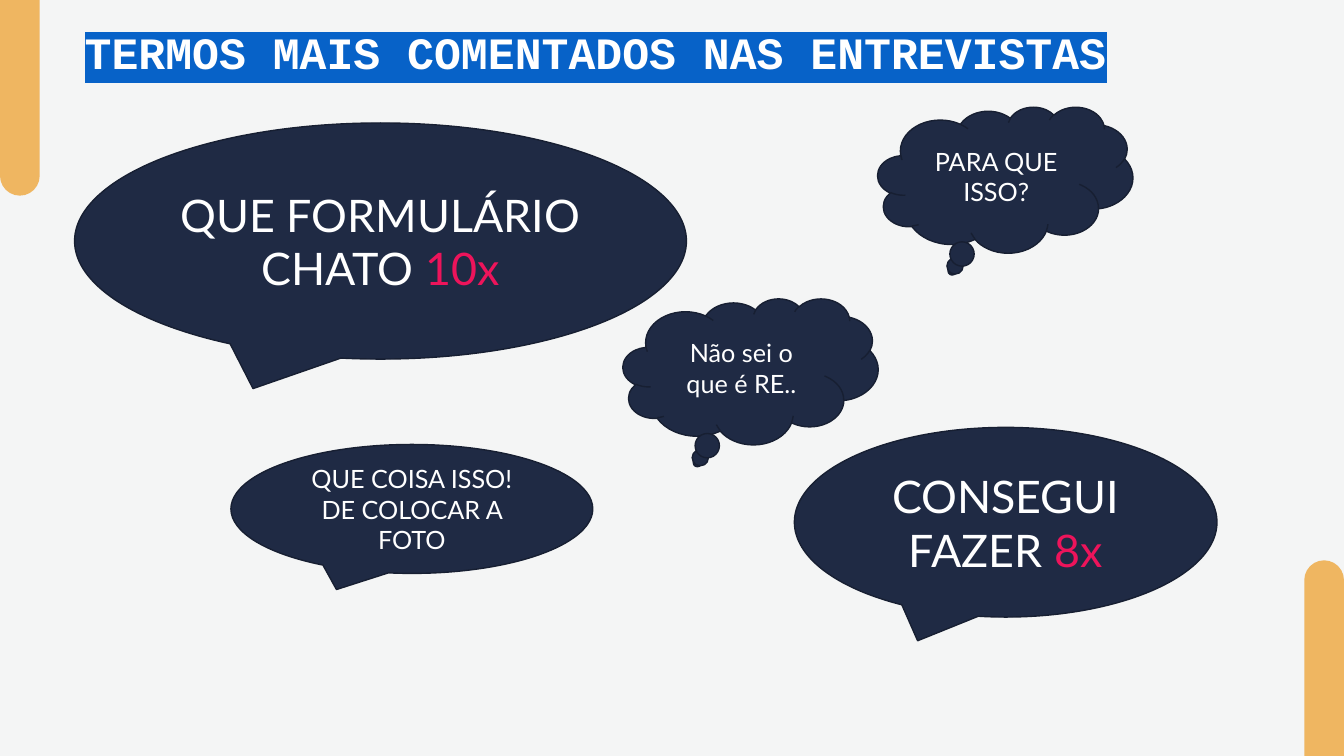
"""Build the slide of terms heard most often in the interviews."""
from lxml.etree import SubElement
from pptx import Presentation
from pptx.dml.color import RGBColor
from pptx.enum.shapes import MSO_SHAPE
from pptx.enum.text import MSO_ANCHOR, MSO_AUTO_SIZE, PP_ALIGN
from pptx.oxml.ns import qn
from pptx.util import Cm, Pt

TITLE = "TERMOS MAIS COMENTADOS NAS ENTREVISTAS"
OVAL, CLOUD = MSO_SHAPE.OVAL_CALLOUT, MSO_SHAPE.CLOUD_CALLOUT
TERMS = [
    (OVAL, (5.82, 11.2, 9.12, 3.25), "small", "QUE COISA ISSO! DE COLOCAR A FOTO", ""),
    (CLOUD, (22.12, 2.69, 6.43, 3.68), "small", "PARA QUE ISSO?", ""),
    (OVAL, (1.88, 3.1, 15.42, 5.95), "big", "QUE FORMULÁRIO CHATO ", "10x"),
    (CLOUD, (15.7, 7.52, 6.43, 3.68), "small", "Não sei o que é RE..", ""),
    (OVAL, (20.02, 10.77, 10.65, 4.78), "big", "CONSEGUI FAZER ", "8x"),
]
WIDE, HIGH = 33.87, 19.05
BAR = (1, 4.93)
THEME = {
    "back": "F4F5F5", "bar": "EFB661", "navy": "1F2A44", "edge": "171F32",
    "white": "FFFFFF", "pink": "ED145B", "mark": "0762C8",
    "small": Pt(18), "big": Pt(32), "head": "Courier New", "body": "Lato",
}


def tint(name):
    return RGBColor.from_string(THEME[name])


def style(item, values):
    for key, value in values.items():
        setattr(item, key, value)


def paint(fill, name):
    fill.solid()
    fill.fore_color.rgb = tint(name)


def write(para, text, color, size, face, bold=False):
    run = para.add_run()
    run.text = text
    style(run.font, {"size": THEME[size], "bold": bold})
    run.font.color.rgb = tint(color)
    run.font.name = THEME[face]
    return run


def draw(slide, kind, box, color):
    shape = slide.shapes.add_shape(kind, *map(Cm, box))
    shape.shadow.inherit = False
    paint(shape.fill, color)
    return shape


def add_bars(slide):
    for left, top, turn in ((0, 0, 180), (WIDE - BAR[0], HIGH - BAR[1], 0)):
        bar = draw(slide, MSO_SHAPE.ROUND_2_SAME_RECTANGLE, (left, top, *BAR), "bar")
        bar.line.fill.background()
        bar.adjustments[0] = 0.5
        bar.rotation = turn


def add_title(slide):
    title = slide.shapes.title
    style(title, {"left": Cm(1.88), "top": Cm(0.15), "width": Cm(29.31), "height": Cm(1.83)})
    frame = title.text_frame
    style(frame, {"word_wrap": True, "auto_size": MSO_AUTO_SIZE.NONE,
                  "vertical_anchor": MSO_ANCHOR.BOTTOM, "margin_bottom": 0})
    para = frame.paragraphs[0]
    style(para, {"alignment": PP_ALIGN.LEFT, "line_spacing": Pt(45)})
    run = write(para, TITLE, "white", "big", "head", True)
    props = run.font._element
    mark = SubElement(props, qn("a:highlight"))
    SubElement(mark, qn("a:srgbClr"), val=THEME["mark"])
    props.find(qn("a:solidFill")).addnext(mark)


def add_term(slide, kind, box, size, text, count):
    shape = draw(slide, kind, box, "navy")
    shape.line.color.rgb = tint("edge")
    shape.line.width = Pt(1)
    frame = shape.text_frame
    style(frame, {"word_wrap": True, "vertical_anchor": MSO_ANCHOR.MIDDLE})
    para = frame.paragraphs[0]
    para.alignment = PP_ALIGN.CENTER
    write(para, text, "white", size, "body")
    if count:
        write(para, count, "pink", size, "body")


def main():
    deck = Presentation()
    style(deck, {"slide_width": Cm(WIDE), "slide_height": Cm(HIGH)})
    slide = deck.slides.add_slide(deck.slide_layouts[5])
    paint(slide.background.fill, "back")
    add_bars(slide)
    add_title(slide)
    for term in TERMS:
        add_term(slide, *term)
    deck.save("out.pptx")


if __name__ == "__main__":
    main()
